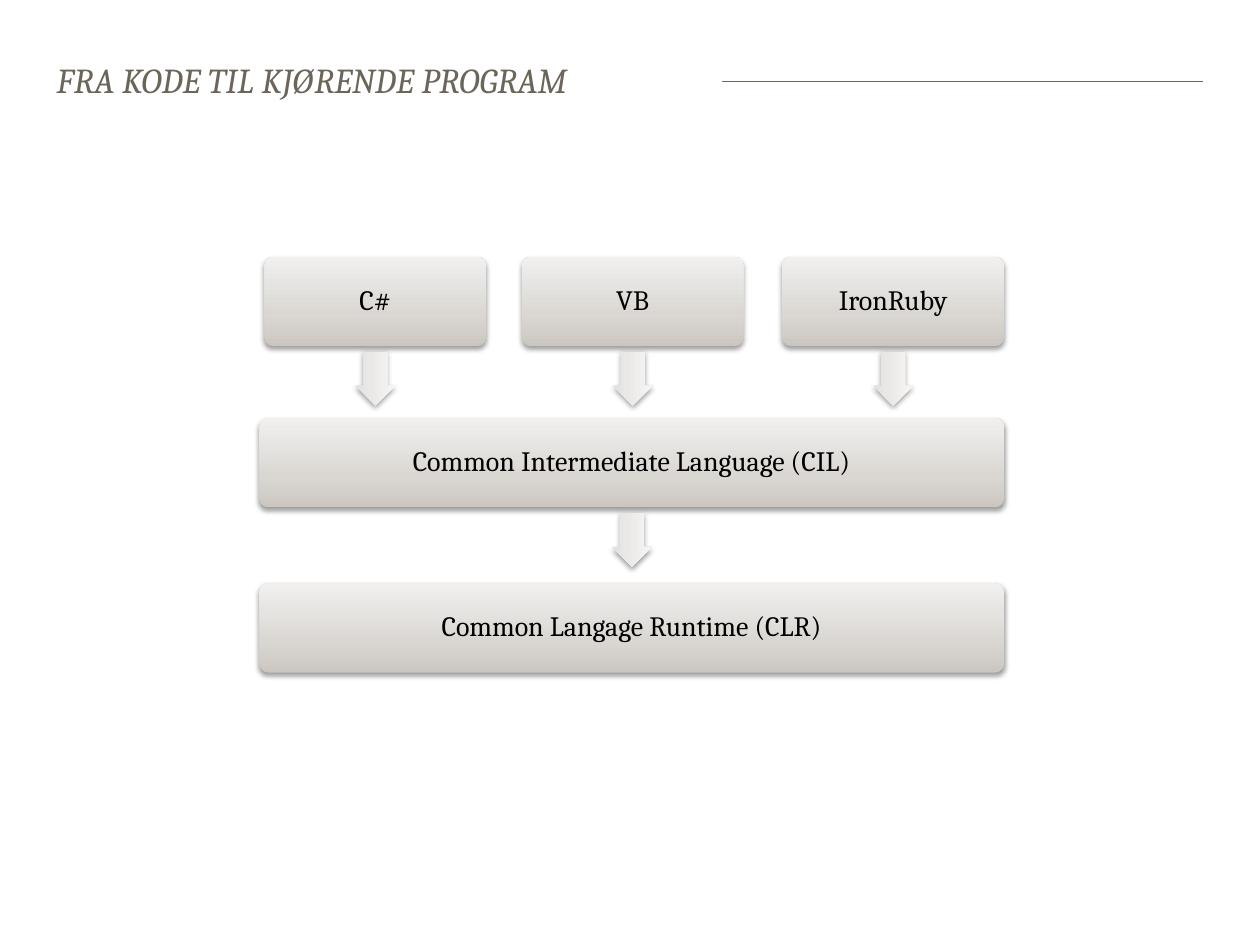
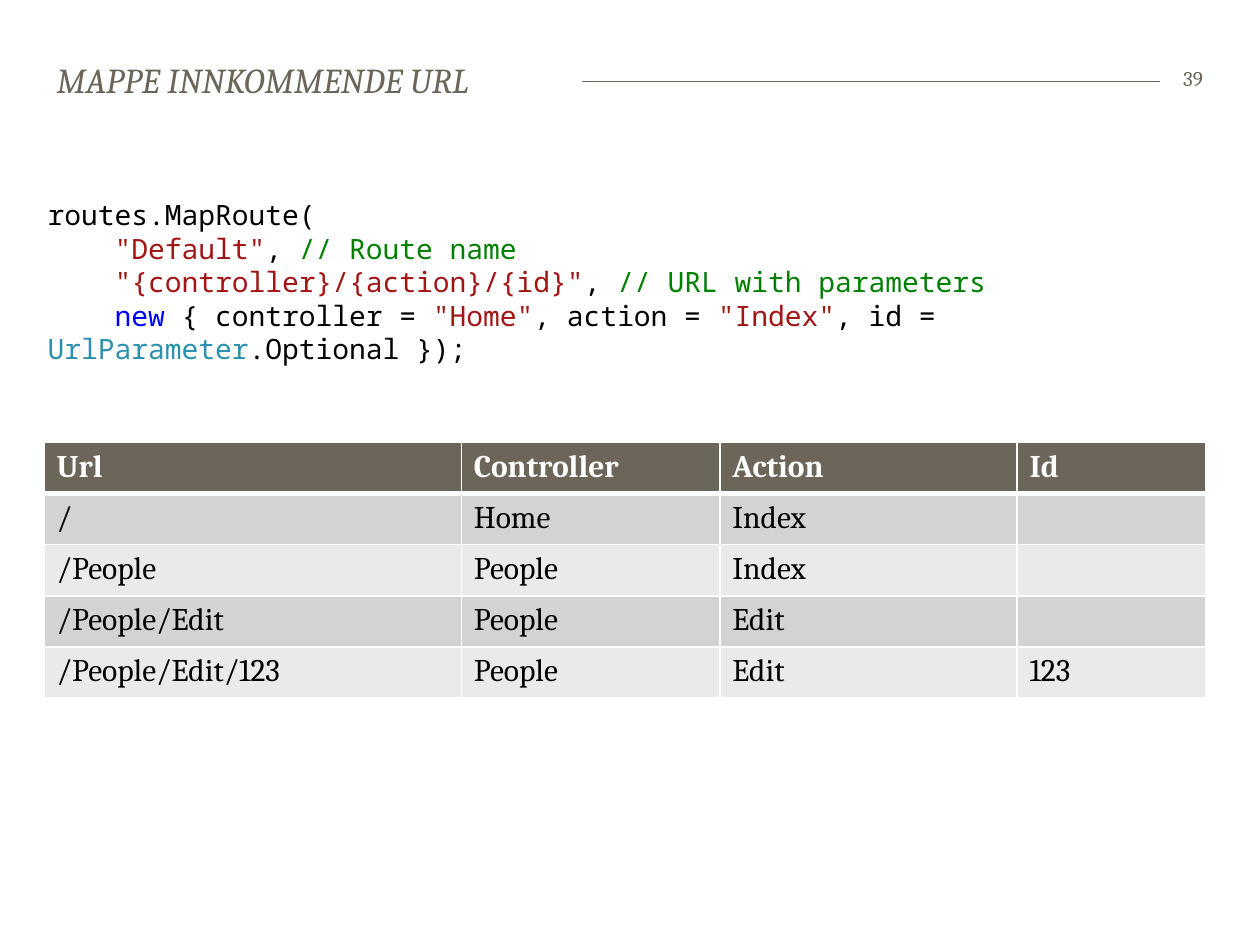
from pptx import Presentation
from pptx.dml.color import RGBColor
from pptx.enum import shapes, text
from pptx.oxml import parse_xml
from pptx.oxml.ns import nsdecls, qn
from pptx.util import Cm, Pt

# Colours and fonts
TAUPE = RGBColor(0x6C, 0x65, 0x59)
WHITE = RGBColor(0xFF, 0xFF, 0xFF)
BLACK = RGBColor(0x00, 0x00, 0x00)
ROW_FILLS = (RGBColor(0xEB, 0xEA, 0xEA), RGBColor(0xD4, 0xD3, 0xD1))
STRING = RGBColor(0xA3, 0x15, 0x15)
COMMENT = RGBColor(0x00, 0x80, 0x00)
KEYWORD = RGBColor(0x00, 0x00, 0xFF)
CLASS = RGBColor(0x2B, 0x91, 0xAF)
BOX_STOPS = [(0, RGBColor(0xCB, 0xC7, 0xC0)), (35, RGBColor(0xDA, 0xD7, 0xD3)),
             (100, RGBColor(0xF1, 0xF0, 0xEE))]
ARROW_STOPS = [(0, RGBColor(0xE2, 0xE0, 0xDC)), (35, RGBColor(0xEA, 0xE8, 0xE6)),
               (100, RGBColor(0xF7, 0xF6, 0xF5))]
SERIF = "Cambria"
MONO = "Noto Sans Mono"

# Slide 1: each language box as (name, left); each stage as (name, top)
PROGRAM_TITLE = "FRA KODE TIL KJØRENDE PROGRAM"
LANGUAGES = [("C#", 5.33), ("VB", 10.52), ("IronRuby", 15.77)]
STAGES = [("Common Intermediate Language (CIL)", 8.43),
          ("Common Langage Runtime (CLR)", 11.76)]
LANGUAGE_TOP, LANGUAGE_WIDTH = 5.18, 4.47
STAGE_LEFT, STAGE_WIDTH = 5.23, 15.01
BOX_HEIGHT = 1.8
ARROW_LENGTH, ARROW_BREADTH, ARROW_GAP = 1.09, 0.81, 0.11

# Slide 2
URL_TITLE = "MAPPE INNKOMMENDE URL"
PAGE_NUMBER = "39"
ROUTE_CODE = [
    [("routes.MapRoute(", BLACK)],
    [("    ", BLACK), ('"Default"', STRING), (", ", BLACK), ("// Route name", COMMENT)],
    [("    ", BLACK), ('"{controller}/{action}/{id}"', STRING), (", ", BLACK),
     ("// URL with parameters", COMMENT)],
    [("    ", BLACK), ("new", KEYWORD), (" { controller = ", BLACK), ('"Home"', STRING),
     (", action = ", BLACK), ('"Index"', STRING), (", id = ", BLACK),
     ("UrlParameter", CLASS), (".Optional });", BLACK)],
]
ROUTES = [
    ("Url", "Controller", "Action", "Id"),
    ("/", "Home", "Index", ""),
    ("/People", "People", "Index", ""),
    ("/People/Edit", "People", "Edit", ""),
    ("/People/Edit/123", "People", "Edit", "123"),
]
COLUMN_WIDTHS = (8.41, 5.21, 5.99, 3.81)
ROW_HEIGHT = 1.03


def style(paragraph, size, color, name=SERIF):
    font = paragraph.font
    font.name, font.size, font.color.rgb = name, Pt(size), color


def set_margins(frame, left, top, right, bottom):
    frame.margin_left, frame.margin_top = Cm(left), Cm(top)
    frame.margin_right, frame.margin_bottom = Cm(right), Cm(bottom)


def white_fill(shape):
    shape.fill.solid()
    shape.fill.fore_color.rgb = WHITE


def add_titled_slide(prs, heading, title_width):
    """Add a slide whose white title box covers the start of the header rule."""
    slide = prs.slides.add_slide(prs.slide_layouts[5])
    title = slide.shapes.title
    title.left, title.top, title.width, title.height = (
        Cm(0.89), Cm(1.17), Cm(title_width), Cm(0.86))
    white_fill(title)
    frame = title.text_frame
    frame.text = heading
    frame.auto_size = text.MSO_AUTO_SIZE.NONE
    frame.vertical_anchor = text.MSO_ANCHOR.TOP
    set_margins(frame, 0.25, 0, 0.25, 0)
    paragraph = frame.paragraphs[0]
    paragraph.alignment = text.PP_ALIGN.LEFT
    style(paragraph, 20, TAUPE)
    paragraph.font.italic = True

    rule = slide.shapes.add_connector(
        shapes.MSO_CONNECTOR.STRAIGHT, Cm(1.17), Cm(1.65), Cm(24.26), Cm(1.65))
    rule.line.color.rgb = TAUPE
    rule.line.width = Pt(0.5)
    rule._element.spPr.append(parse_xml(f"<a:effectLst {nsdecls('a')}/>"))
    title._element.addprevious(rule._element)
    return slide


def add_raised(slide, kind, stops, left, top, width, height):
    """Add a shape with a bottom-to-top gradient, no line and a soft shadow."""
    shape = slide.shapes.add_shape(kind, Cm(left), Cm(top), Cm(width), Cm(height))
    stop_xml = "".join(f'<a:gs pos="{pos * 1000}"><a:srgbClr val="{color}"/></a:gs>'
                       for pos, color in stops)
    properties = shape._element.spPr
    properties.append(parse_xml(
        f'<a:gradFill {nsdecls("a")} rotWithShape="1"><a:gsLst>{stop_xml}</a:gsLst>'
        '<a:lin ang="16200000" scaled="0"/></a:gradFill>'))
    shape.line.fill.background()
    properties.append(parse_xml(
        f'<a:effectLst {nsdecls("a")}><a:outerShdw blurRad="{Pt(3.1)}" dist="{Pt(1.6)}" '
        'dir="5400000" rotWithShape="0"><a:srgbClr val="000000"><a:alpha val="38000"/>'
        '</a:srgbClr></a:outerShdw></a:effectLst>'))
    return shape


def add_box(slide, label, left, top, width):
    box = add_raised(slide, shapes.MSO_SHAPE.ROUNDED_RECTANGLE, BOX_STOPS,
                     left, top, width, BOX_HEIGHT)
    box.adjustments[0] = 0.1
    frame = box.text_frame
    frame.text = label
    frame.vertical_anchor = text.MSO_ANCHOR.MIDDLE
    set_margins(frame, 0.2, 0.2, 0.2, 0.2)
    paragraph = frame.paragraphs[0]
    paragraph.alignment = text.PP_ALIGN.CENTER
    paragraph.line_spacing = 0.9
    style(paragraph, 16, BLACK)


def add_down_arrow(slide, center, box_top):
    """Add an arrow just under the box that starts at box_top."""
    middle = box_top + BOX_HEIGHT + ARROW_GAP + ARROW_LENGTH / 2
    arrow = add_raised(slide, shapes.MSO_SHAPE.RIGHT_ARROW, ARROW_STOPS,
                       center - ARROW_LENGTH / 2, middle - ARROW_BREADTH / 2,
                       ARROW_LENGTH, ARROW_BREADTH)
    arrow.rotation = 90
    arrow.adjustments[0], arrow.adjustments[1] = 0.6, 0.5


def add_borders(cell, top, bottom):
    cell_properties = cell._tc.get_or_add_tcPr()
    for side, width in (("L", 1), ("R", 1), ("T", top), ("B", bottom)):
        cell_properties.append(parse_xml(
            f'<a:ln{side} {nsdecls("a")} w="{Pt(width)}"><a:solidFill>'
            f'<a:srgbClr val="{WHITE}"/></a:solidFill></a:ln{side}>'))


def add_page_number(slide):
    box = slide.shapes.add_textbox(Cm(23.39), Cm(1.19), Cm(0.86), Cm(0.76))
    white_fill(box)
    frame = box.text_frame
    frame.text = PAGE_NUMBER
    frame.word_wrap = True
    frame.vertical_anchor = text.MSO_ANCHOR.MIDDLE
    set_margins(frame, 0.1, 0.13, 0, 0.13)
    frame.paragraphs[0].alignment = text.PP_ALIGN.RIGHT
    style(frame.paragraphs[0], 12, TAUPE)


def add_route_code(slide):
    frame = slide.shapes.add_textbox(Cm(0.71), Cm(3.86), Cm(24), Cm(3.68)).text_frame
    frame.word_wrap = True
    for index, line in enumerate(ROUTE_CODE):
        paragraph = frame.add_paragraph() if index else frame.paragraphs[0]
        style(paragraph, 16, BLACK, MONO)
        for token, color in line:
            run = paragraph.add_run()
            run.text = token
            run.font.color.rgb = color


def add_route_table(slide):
    table = slide.shapes.add_table(
        len(ROUTES), len(COLUMN_WIDTHS), Cm(0.89), Cm(8.92),
        Cm(sum(COLUMN_WIDTHS)), Cm(ROW_HEIGHT * len(ROUTES))).table
    for column, width in zip(table.columns, COLUMN_WIDTHS):
        column.width = Cm(width)
    for row, values in enumerate(ROUTES):
        table.rows[row].height = Cm(ROW_HEIGHT)
        is_header = row == 0
        for column, value in enumerate(values):
            cell = table.cell(row, column)
            add_borders(cell, top=3 if row == 1 else 1, bottom=3 if is_header else 1)
            cell.fill.solid()
            cell.fill.fore_color.rgb = TAUPE if is_header else ROW_FILLS[row % 2]
            cell.text = value
            paragraph = cell.text_frame.paragraphs[0]
            style(paragraph, 18, WHITE if is_header else BLACK)
            paragraph.font.bold = is_header


def build_program_slide(prs):
    slide = add_titled_slide(prs, PROGRAM_TITLE, 13.67)
    for language, left in LANGUAGES:
        add_box(slide, language, left, LANGUAGE_TOP, LANGUAGE_WIDTH)
        add_down_arrow(slide, left + LANGUAGE_WIDTH / 2, LANGUAGE_TOP)
    for stage, top in STAGES:
        add_box(slide, stage, STAGE_LEFT, top, STAGE_WIDTH)
    add_down_arrow(slide, STAGE_LEFT + STAGE_WIDTH / 2, STAGES[0][1])


def build_url_slide(prs):
    slide = add_titled_slide(prs, URL_TITLE, 10.85)
    add_page_number(slide)
    add_route_code(slide)
    add_route_table(slide)


def main():
    prs = Presentation()
    prs.slide_width, prs.slide_height = Cm(25.4), Cm(19.05)
    build_program_slide(prs)
    build_url_slide(prs)
    prs.save("out.pptx")


if __name__ == "__main__":
    main()
